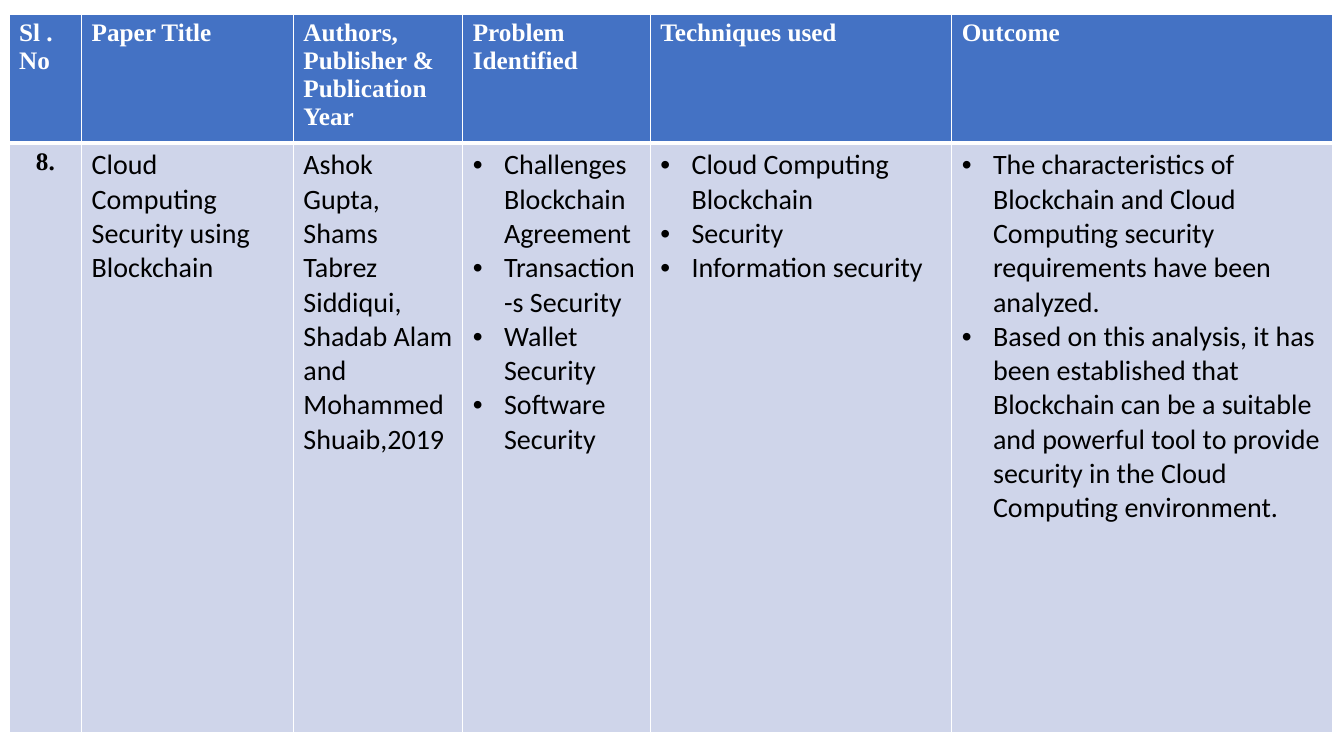
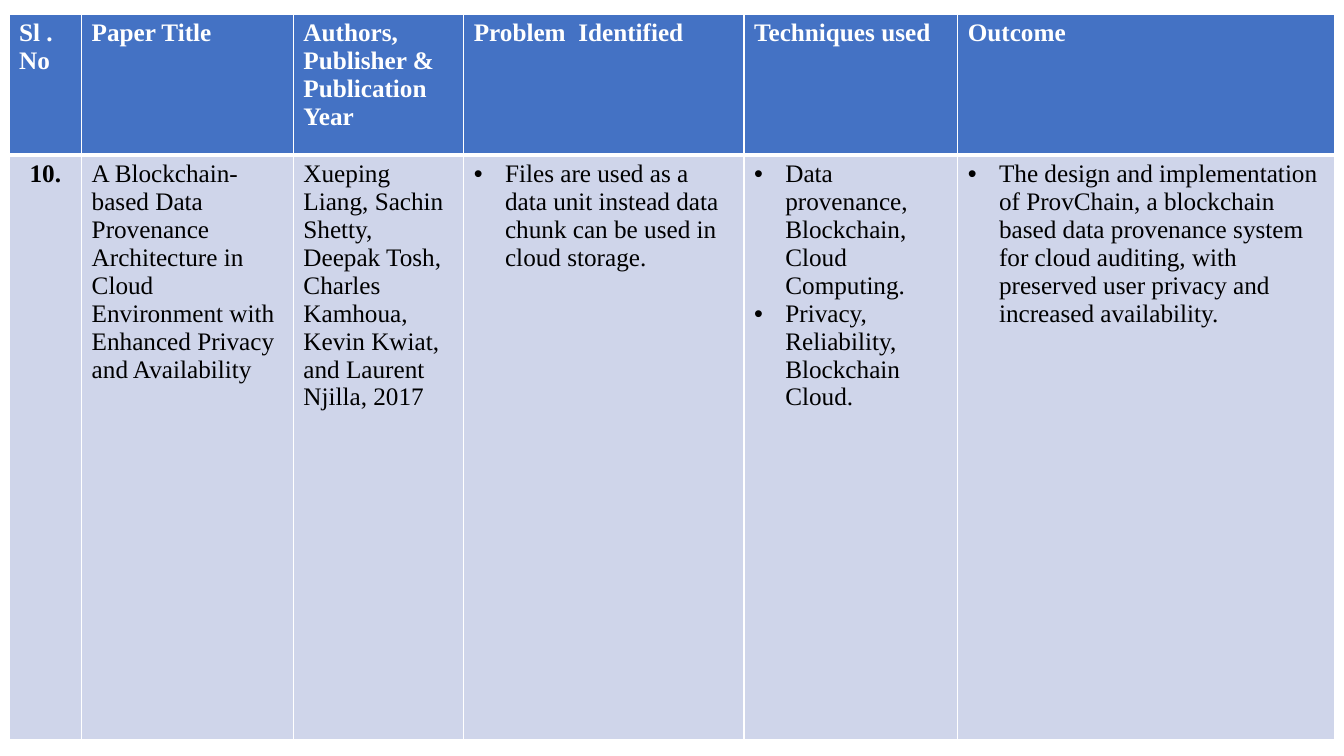
from dataclasses import dataclass

from lxml.etree import SubElement
from pptx import Presentation
from pptx.dml.color import RGBColor
from pptx.enum.text import PP_ALIGN
from pptx.oxml import parse_xml
from pptx.oxml.ns import nsdecls, qn
from pptx.util import Inches, Pt


@dataclass(frozen=True)
class Theme:
    header_fill: str = "4472C4"
    body_fill: str = "CFD5EA"
    rule: str = "FFFFFF"
    header_text: str = "FFFFFF"
    body_text: str = "000000"
    serif: str = "Times New Roman"
    sans: str = "Calibri"
    bullet_font: str = "Arial"
    size: int = 18
    large: int = 20
    thin: int = 1
    thick: int = 3
    indent: float = 0.31


THEME = Theme()


def write_text(frame, text, font=THEME.serif, size=THEME.size, color=THEME.body_text,
               bold=False, align=None):
    """Write a string as one paragraph, or a list as bulleted paragraphs."""
    bulleted = isinstance(text, list)
    for number, line in enumerate(text if bulleted else [text]):
        paragraph = frame.paragraphs[0] if number == 0 else frame.add_paragraph()
        if bulleted:
            properties = paragraph._p.get_or_add_pPr()
            properties.set("marL", str(Inches(THEME.indent)))
            properties.set("indent", str(-Inches(THEME.indent)))
            SubElement(properties, qn("a:buFont")).set("typeface", THEME.bullet_font)
            SubElement(properties, qn("a:buChar")).set("char", "•")
        paragraph.alignment = align
        run = paragraph.add_run()
        run.text = line
        run.font.name = font
        run.font.size = Pt(size)
        run.font.bold = bold
        run.font.color.rgb = RGBColor.from_string(color)


def paint_cell(cell, fill, top, bottom):
    """Fill a cell and rule its four sides."""
    cell.fill.solid()
    cell.fill.fore_color.rgb = RGBColor.from_string(fill)
    widths = {"lnL": THEME.thin, "lnR": THEME.thin, "lnT": top, "lnB": bottom}
    for position, (side, width) in enumerate(widths.items()):
        cell._tc.get_or_add_tcPr().insert(position, parse_xml(
            f'<a:{side} {nsdecls("a")} w="{Pt(width)}"><a:solidFill>'
            f'<a:srgbClr val="{THEME.rule}"/></a:solidFill></a:{side}>'))


# Content: one reviewed paper per slide
papers = [
    {
        "columns": [0.72, 2.1, 1.68, 1.86, 2.99, 3.78],
        "rows": [1.28, 5.85],
        "problem_heading": "Problem Identified",
        "font": THEME.sans,
        "size": THEME.large,
        "entry": [
            "8.",
            "Cloud Computing Security using Blockchain",
            "Ashok Gupta, Shams Tabrez Siddiqui, Shadab Alam and Mohammed Shuaib,2019",
            ["Challenges Blockchain Agreement", "Transaction-s Security",
             "Wallet Security", "Software Security"],
            ["Cloud Computing Blockchain", "Security", "Information security"],
            ["The characteristics of Blockchain and Cloud Computing security "
             "requirements have been analyzed.",
             "Based on this analysis, it has been established that Blockchain can be a "
             "suitable and powerful tool to provide security in the Cloud Computing "
             "environment."],
        ],
    },
    {
        "columns": [0.72, 2.1, 1.69, 2.78, 2.12, 3.74],
        "rows": [1.4, 5.8],
        "problem_heading": "Problem  Identified",
        "font": THEME.serif,
        "size": THEME.size,
        "entry": [
            "10.",
            "A Blockchain-based Data Provenance Architecture in Cloud Environment with "
            "Enhanced Privacy and Availability",
            "Xueping Liang, Sachin Shetty, Deepak Tosh, Charles Kamhoua, Kevin Kwiat, "
            "and Laurent Njilla, 2017",
            ["Files are used as a data unit instead data chunk can be used in cloud "
             "storage."],
            ["Data provenance, Blockchain, Cloud Computing.",
             "Privacy, Reliability, Blockchain Cloud."],
            ["The design and implementation of ProvChain, a blockchain based data "
             "provenance system for cloud auditing, with preserved user privacy and "
             "increased availability."],
        ],
    },
]

presentation = Presentation()
presentation.slide_width = Inches(13.33)
presentation.slide_height = Inches(7.5)
blank_layout = presentation.slide_layouts[6]

for paper in papers:
    slide = presentation.slides.add_slide(blank_layout)
    columns, rows = paper["columns"], paper["rows"]
    survey = slide.shapes.add_table(
        len(rows), len(columns), Inches(0.09), Inches(0.14),
        Inches(sum(columns)), Inches(sum(rows))).table
    for column, width in zip(survey.columns, columns):
        column.width = Inches(width)
    for row, height in zip(survey.rows, rows):
        row.height = Inches(height)

    # Header row
    headings = ["Sl . No", "Paper Title", "Authors, Publisher & Publication Year",
                paper["problem_heading"], "Techniques used", "Outcome"]
    for cell, heading in zip(survey.rows[0].cells, headings):
        paint_cell(cell, THEME.header_fill, top=THEME.thin, bottom=THEME.thick)
        write_text(cell.text_frame, heading, color=THEME.header_text, bold=True)

    # Paper row: bold centred number, then the details
    for position, (cell, detail) in enumerate(zip(survey.rows[1].cells, paper["entry"])):
        paint_cell(cell, THEME.body_fill, top=THEME.thick, bottom=THEME.thin)
        if position == 0:
            write_text(cell.text_frame, detail, bold=True, align=PP_ALIGN.CENTER)
        else:
            write_text(cell.text_frame, detail, font=paper["font"], size=paper["size"])

presentation.save("out.pptx")
